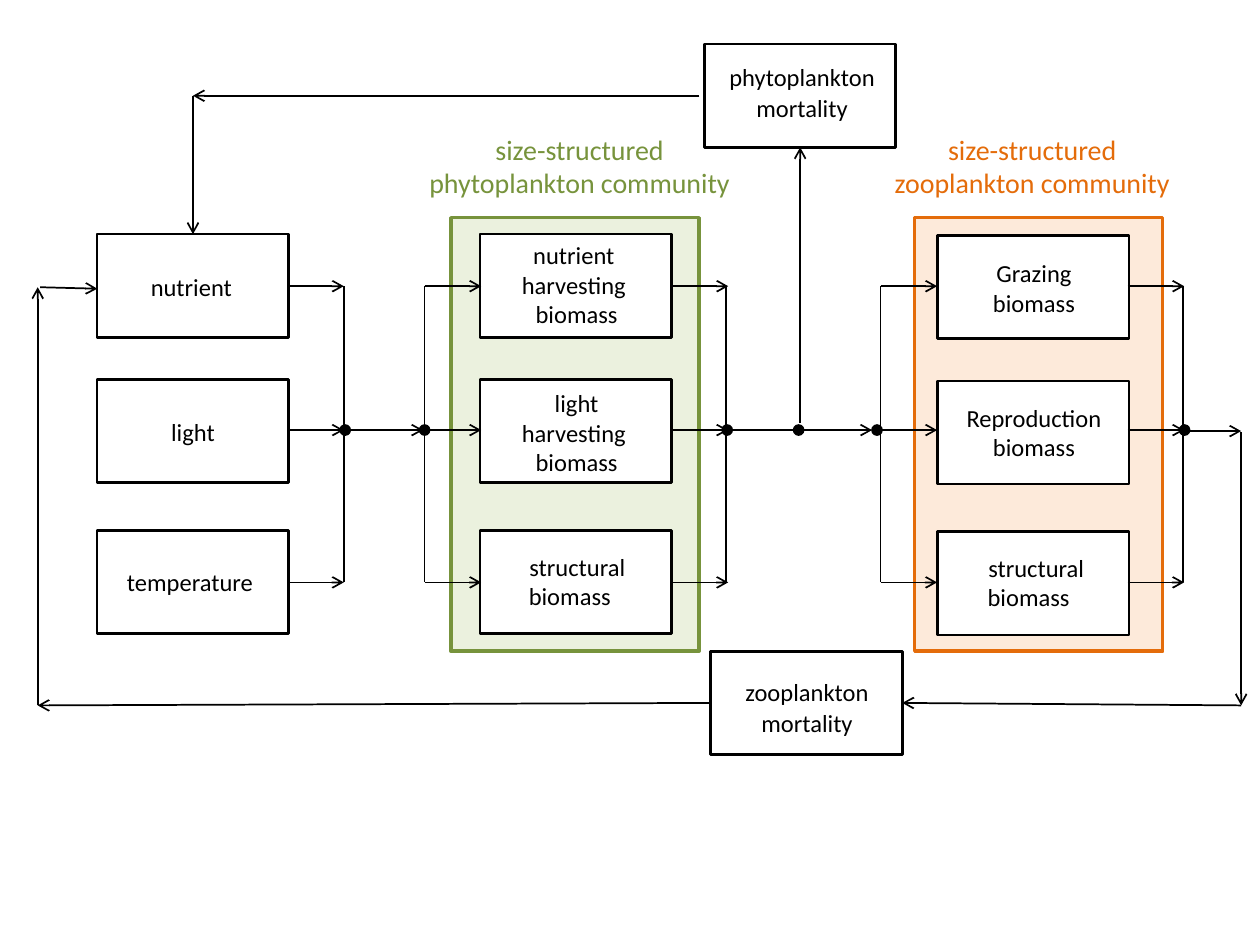
from lxml.etree import SubElement
from pptx import Presentation
from pptx.dml.color import RGBColor
from pptx.enum.shapes import MSO_CONNECTOR as Connector, MSO_SHAPE as Shape
from pptx.enum.text import MSO_AUTO_SIZE as AutoSize, PP_ALIGN as Align
from pptx.oxml.ns import qn
from pptx.util import Cm, Pt

BLACK, WHITE, GREEN, ORANGE = "000000", "FFFFFF", "77933C", "E46C0A"
BOX_WIDTH, BOX_HEIGHT = 3.86, 2.08
ROW_TOPS = (4.72, 7.65, 10.69)
ARROW_ROWS = (5.77, 8.67, 11.74)
ARROW_LENGTH = 1.14
MIDDLE = 8.67
DOT = 0.2


def color(value):
    """Turn a hex string into a colour."""
    return RGBColor.from_string(value)


def add_figure(page, kind, left, top, width, height, fill, line, weight):
    """Add a filled or hollow outlined shape."""
    figure = page.shapes.add_shape(kind, Cm(left), Cm(top), Cm(width), Cm(height))
    figure.shadow.inherit = False
    if fill:
        figure.fill.solid()
        figure.fill.fore_color.rgb = color(fill)
    else:
        figure.fill.background()
    figure.line.color.rgb = color(line)
    figure.line.width = Pt(weight)


def add_box(page, left, top, fill=None):
    """Add one box of the flow diagram."""
    add_figure(page, Shape.RECTANGLE, left, top, BOX_WIDTH, BOX_HEIGHT, fill, BLACK, 1.5)


def add_dot(page, x):
    """Add a junction dot on the middle row."""
    add_figure(page, Shape.OVAL, x - DOT / 2, MIDDLE - DOT / 2, DOT, DOT, BLACK, BLACK, 1)


def add_line(page, x1, y1, x2, y2, arrow=True):
    """Add a line, with an arrowhead at its end if wanted."""
    line = page.shapes.add_connector(Connector.STRAIGHT, Cm(x1), Cm(y1), Cm(x2), Cm(y2))
    line.line.color.rgb = color(BLACK)
    line.line.width = Pt(1)
    properties = line._element.spPr
    if arrow:
        SubElement(properties.find(qn("a:ln")), qn("a:tailEnd"), type="arrow")
    SubElement(properties, qn("a:effectLst"))


def add_branches(page, start, bus):
    """Add three parallel arrows and the vertical line that joins them."""
    for y in ARROW_ROWS:
        add_line(page, start, y, start + ARROW_LENGTH, y)
    add_line(page, bus, ARROW_ROWS[0], bus, ARROW_ROWS[-1], arrow=False)


def add_label(page, left, top, width, height, lines, size=14, ink=BLACK,
              wrap=False, last_align=Align.CENTER, gap_size=None):
    """Add a text box; gap_size sets a larger space after the first line."""
    box = page.shapes.add_textbox(Cm(left), Cm(top), Cm(width), Cm(height))
    frame = box.text_frame
    frame.word_wrap = wrap
    frame.auto_size = AutoSize.SHAPE_TO_FIT_TEXT
    frame.text = "\n".join(lines)
    for para in frame.paragraphs:
        para.alignment = Align.CENTER
        para.font.name = "Calibri"
        para.font.size = Pt(size)
        para.font.color.rgb = color(ink)
    frame.paragraphs[-1].alignment = last_align
    if gap_size:
        span = frame.paragraphs[0].add_run()
        span.text = " "
        span.font.size = Pt(gap_size)


def add_boxes(page):
    """Add the two community panels and all boxes."""
    for left, fill, line in ((18.44, "FDEADA", ORANGE), (9.09, "EBF1DE", GREEN)):
        add_figure(page, Shape.RECTANGLE, left, 4.39, 5, 8.74, fill, line, 2)
    for left, shift, fill in ((1.96, 0, None), (9.68, 0, WHITE), (18.9, 0.03, WHITE)):
        for top in ROW_TOPS:
            add_box(page, left, top + shift, fill)
    add_box(page, 14.2, 0.89)
    add_box(page, 14.33, 13.13)


def add_flows(page):
    """Add arrows, joining lines and junction dots."""
    for start, bus in ((5.79, 6.93), (8.56, 8.56), (13.54, 14.63),
                       (17.75, 17.75), (22.73, 23.85)):
        add_branches(page, start, bus)
    for ends in (
        (6.93, MIDDLE, 8.53, MIDDLE),
        (14.71, MIDDLE, 17.58, MIDDLE),
        (16.13, 8.53, 16.13, 2.97),
        (14.1, 1.93, 3.89, 1.93),
        (3.89, 1.93, 3.89, 4.72),
        (23.88, 8.69, 25.02, 8.69),
        (25.02, 8.71, 25.02, 14.22),
        (25.02, 14.22, 18.19, 14.17),
        (14.33, 14.17, 0.76, 14.22),
        (0.76, 14.22, 0.76, 5.79),
        (0.81, 5.79, 1.96, 5.82),
    ):
        add_line(page, *ends)
    for x in (6.96, 8.56, 14.66, 16.1, 17.68, 23.88):
        add_dot(page, x)


def add_labels(page):
    """Add the titles and the box texts."""
    add_label(page, 8.36, 2.54, 6.65, 1.63,
              ("size-structured", "phytoplankton community"), 16, GREEN)
    add_label(page, 17.75, 2.54, 6.12, 1.63,
              ("size-structured", "zooplankton community"), 16, ORANGE, wrap=True)
    for left, top, width, text in ((2.79, 5.36, 2.16, "nutrient"),
                                   (3.2, 8.28, 1.4, "light"),
                                   (2.31, 11.3, 3.07, "temperature")):
        add_label(page, left, top, width, 0.86, (text,), last_align=Align.LEFT)
    for left, top, height, lines in (
        (10.01, 4.72, 2.06, ("nutrient ", "harvesting ", "biomass")),
        (10.01, 7.7, 2.06, ("light", "harvesting ", "biomass")),
        (19.23, 5.08, 1.45, ("Grazing", "biomass")),
        (19.23, 8, 1.45, ("Reproduction", "biomass")),
    ):
        add_label(page, left, top, 3.23, height, lines, wrap=True)
    for left, top in ((10.41, 11), (19.66, 11.02)):
        add_label(page, left, top, 2.46, 1.45, ("structural ", "biomass"),
                  last_align=Align.LEFT)
    for left, top, width, name in ((14.43, 0.99, 3.48, "phytoplankton"),
                                   (14.76, 13.39, 3.02, "zooplankton")):
        add_label(page, left, top, width, 1.63, (name, "mortality"), gap_size=18)


def main():
    """Build the plankton flow diagram."""
    deck = Presentation()
    deck.slide_width, deck.slide_height = Cm(25.4), Cm(19.05)
    page = deck.slides.add_slide(deck.slide_layouts[6])
    add_boxes(page)
    add_flows(page)
    add_labels(page)
    deck.save("out.pptx")


main()
